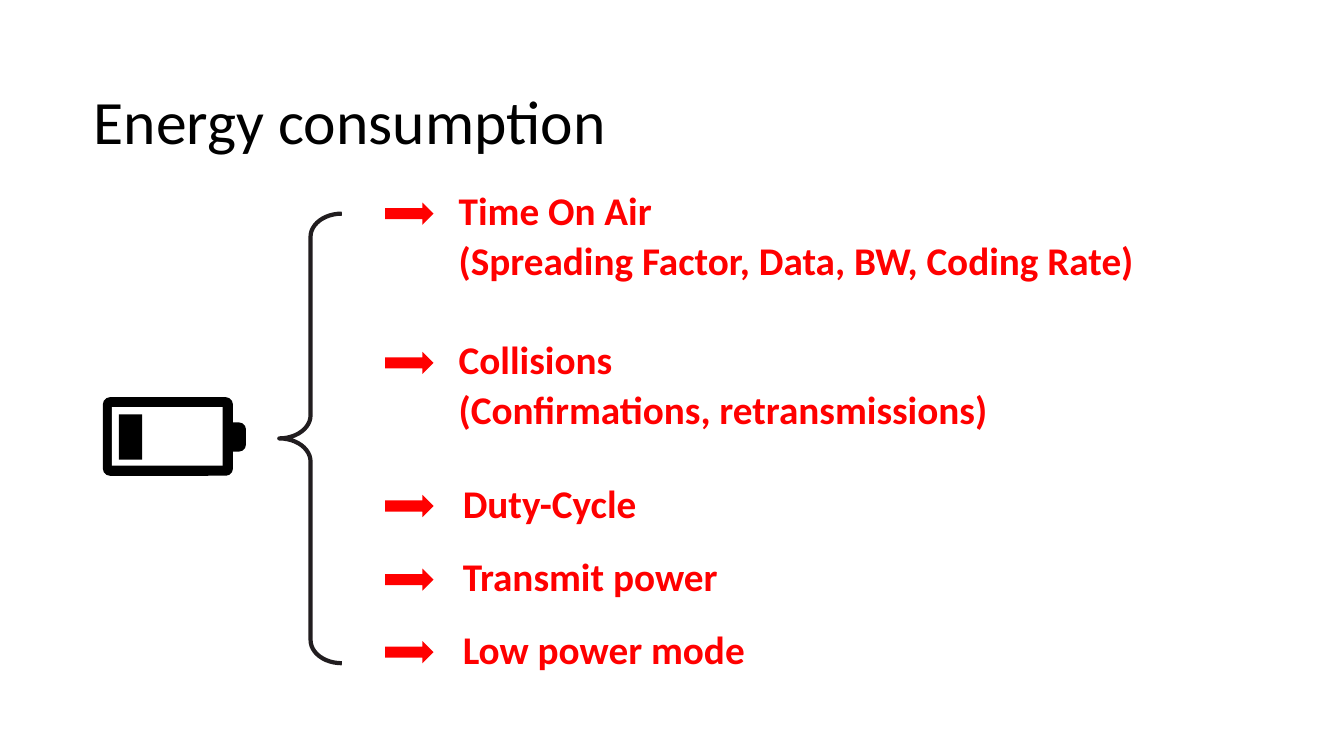
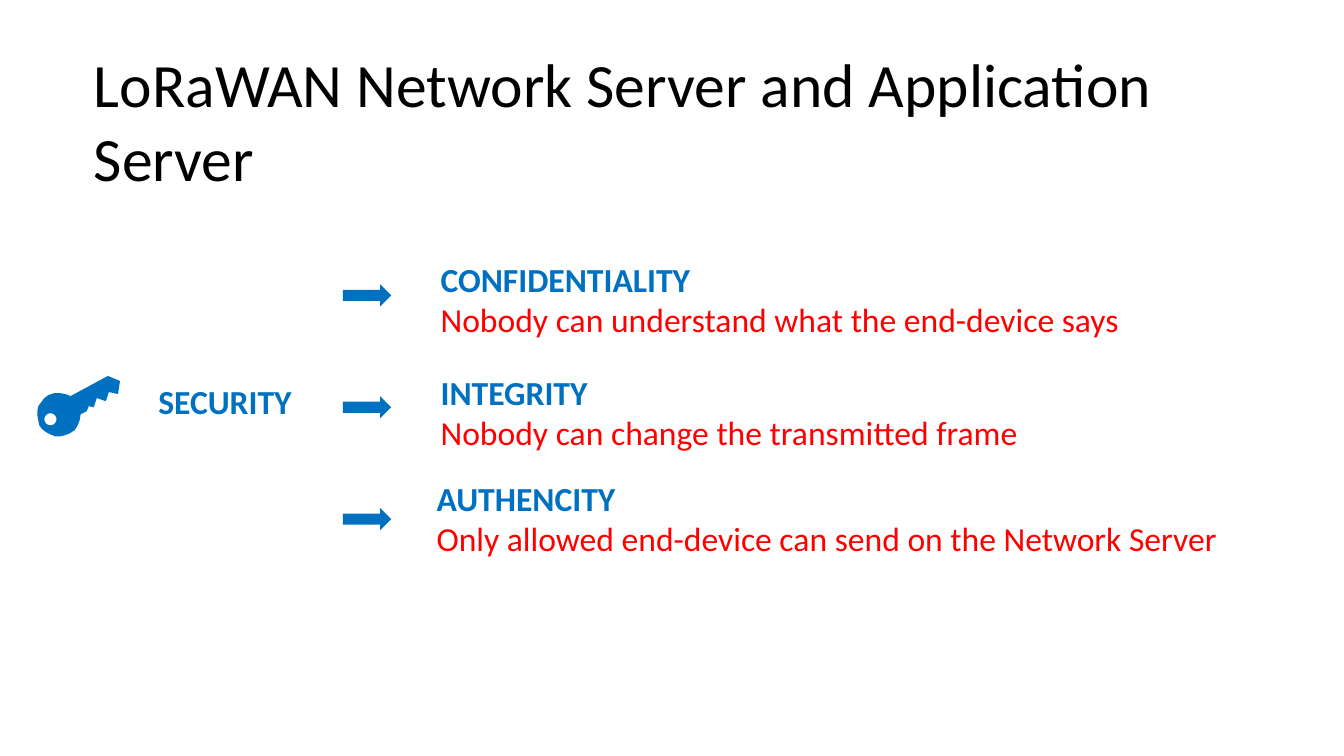
import math

from pptx import Presentation
from pptx import util as u
from pptx.dml.color import RGBColor
from pptx.enum import shapes, text

FONT = "Calibri"
COLORS = {
    "black": "000000",
    "white": "FFFFFF",
    "brace": "211D1F",
    "red": "FF0000",
    "blue": "0070C0",
}
ARROW_WIDTH, ARROW_HEIGHT = 0.48, 0.22

# Arrow centre, text left, lines
FACTORS = [
    (2.12, 4.55, ["Time On Air", "(Spreading Factor, Data, BW, Coding Rate)"]),
    (3.6, 4.55, ["Collisions", "(Confirmations, retransmissions)"]),
    (5.02, 4.59, ["Duty-Cycle"]),
    (5.75, 4.59, ["Transmit power"]),
    (6.47, 4.59, ["Low power mode"]),
]

# Arrow centre, text left, text top, heading, explanation
GOALS = [
    (2.93, 4.37, 2.57, "CONFIDENTIALITY",
     "Nobody can understand what the end-device says"),
    (4.04, 4.37, 3.69, "INTEGRITY",
     "Nobody can change the transmitted frame"),
    (5.15, 4.33, 4.74, "AUTHENCITY",
     "Only allowed end-device can send on the Network Server"),
]

# Key outline, clockwise from the lower end of the bow
KEY_OUTLINE = [
    (0.69, 4.3), (0.64, 4.32), (0.59, 4.33), (0.55, 4.33), (0.5, 4.31),
    (0.46, 4.29), (0.42, 4.26), (0.39, 4.22), (0.38, 4.17), (0.37, 4.12),
    (0.37, 4.08), (0.38, 4.03), (0.41, 3.99), (0.44, 3.95), (0.48, 3.92),
    (0.54, 3.9), (0.59, 3.9), (0.65, 3.91), (0.7, 3.93), (1.07, 3.73),
    (1.19, 3.78), (1.17, 3.91), (1.08, 3.89), (1.05, 3.98), (0.96, 3.95),
    (0.93, 4.04), (0.88, 4.03), (0.86, 4.08), (0.8, 4.11), (0.79, 4.17),
    (0.77, 4.22), (0.74, 4.27),
]
KEY_HOLE_CENTER, KEY_HOLE_RADIUS = (0.5, 4.16), 0.06


def rgb(color):
    return RGBColor.from_string(COLORS[color])


def box(left, top, width, height):
    return [u.Inches(value) for value in (left, top, width, height)]


def format_font(paragraph, size, color, bold=False):
    paragraph.font.name = FONT
    paragraph.font.size = u.Pt(size)
    paragraph.font.bold = bold
    paragraph.font.color.rgb = rgb(color)


def set_margins(frame, top=0):
    frame.word_wrap = True
    frame.margin_left = frame.margin_right = frame.margin_bottom = 0
    frame.margin_top = u.Inches(top)


def fill_shape(shape, color):
    shape.shadow.inherit = False
    shape.fill.solid()
    shape.fill.fore_color.rgb = rgb(color)
    shape.line.fill.background()


def add_titled_slide(presentation, title_text):
    slide = presentation.slides.add_slide(presentation.slide_layouts[5])
    title = slide.shapes.title
    title.left, title.top, title.width, title.height = box(0.93, 0.4, 11.5, 1.45)
    frame = title.text_frame
    set_margins(frame, top=0.13)
    frame.auto_size = text.MSO_AUTO_SIZE.NONE
    frame.vertical_anchor = text.MSO_ANCHOR.MIDDLE
    frame.text = title_text
    paragraph = frame.paragraphs[0]
    paragraph.alignment = text.PP_ALIGN.LEFT
    format_font(paragraph, 44, "black")
    return slide


def add_text(slide, left, top, width, lines, size, space_before=0):
    """Add one paragraph for each (wording, colour, bold) line."""
    height = len(lines) * size * 1.25 / 72
    frame = slide.shapes.add_textbox(*box(left, top, width, height)).text_frame
    set_margins(frame)
    for index, (wording, color, bold) in enumerate(lines):
        paragraph = frame.add_paragraph() if index else frame.paragraphs[0]
        paragraph.text = wording
        format_font(paragraph, size, color, bold)
        if index:
            paragraph.space_before = u.Pt(space_before)


def add_arrow(slide, left, center, color):
    arrow = slide.shapes.add_shape(
        shapes.MSO_SHAPE.RIGHT_ARROW,
        *box(left, center - ARROW_HEIGHT / 2, ARROW_WIDTH, ARROW_HEIGHT))
    fill_shape(arrow, color)


def add_battery(slide):
    rounded, square = shapes.MSO_SHAPE.ROUNDED_RECTANGLE, shapes.MSO_SHAPE.RECTANGLE
    battery = slide.shapes.add_group_shape()
    parts = [
        (rounded, box(2.2, 4.19, 0.24, 0.29), "black", 0.29),  # terminal
        (rounded, box(1.02, 3.94, 1.29, 0.78), "black", 0.09),  # case
        (square, box(1.11, 4.04, 1.1, 0.58), "white", None),  # inside
        (square, box(1.18, 4.11, 0.23, 0.45), "black", None),  # charge
    ]
    for kind, place, color, corner in parts:
        part = battery.shapes.add_shape(kind, *place)
        fill_shape(part, color)
        if corner is not None:
            part.adjustments[0] = corner


def add_brace(slide):
    brace = slide.shapes.add_shape(
        shapes.MSO_SHAPE.LEFT_BRACE, *box(2.77, 2.12, 0.62, 4.46))
    brace.shadow.inherit = False
    brace.adjustments[0] = 0.37
    brace.fill.background()
    brace.line.color.rgb = rgb("brace")
    brace.line.width = u.Pt(3)


def add_freeform(slide, contours, color):
    """Fill closed contours given in inches; inner ones become holes."""
    contours = [[(u.Inches(x), u.Inches(y)) for x, y in contour]
                for contour in contours]
    builder = slide.shapes.build_freeform(*contours[0][0])
    for index, contour in enumerate(contours):
        if index:
            builder.move_to(*contour[0])
        builder.add_line_segments(contour[1:], close=True)
    fill_shape(builder.convert_to_shape(), color)


def add_key(slide):
    center_x, center_y = KEY_HOLE_CENTER
    angles = [math.radians(degrees) for degrees in range(0, 360, 15)]
    hole = [(center_x + KEY_HOLE_RADIUS * math.cos(angle),
             center_y + KEY_HOLE_RADIUS * math.sin(angle)) for angle in angles]
    add_freeform(slide, [KEY_OUTLINE, hole], "blue")


def build_energy_slide(presentation):
    slide = add_titled_slide(presentation, "Energy consumption")
    add_battery(slide)
    add_brace(slide)
    for center, left, lines in FACTORS:
        add_arrow(slide, 3.82, center, "red")
        styled = [(line, "red", True) for line in lines]
        add_text(slide, left, center - 0.27, 7.5, styled, 28, space_before=2)


def build_security_slide(presentation):
    slide = add_titled_slide(
        presentation, "LoRaWAN Network Server and Application Server")
    add_key(slide)
    add_text(slide, 1.57, 3.78, 1.5, [("SECURITY", "blue", True)], 24)
    for center, left, top, heading, explanation in GOALS:
        add_arrow(slide, 3.4, center, "blue")
        lines = [(heading, "blue", True), (explanation, "red", False)]
        add_text(slide, left, top, 8.3, lines, 24)


def main():
    presentation = Presentation()
    presentation.slide_width = u.Inches(13.33)
    presentation.slide_height = u.Inches(7.5)
    build_energy_slide(presentation)
    build_security_slide(presentation)
    presentation.save("out.pptx")


if __name__ == "__main__":
    main()
